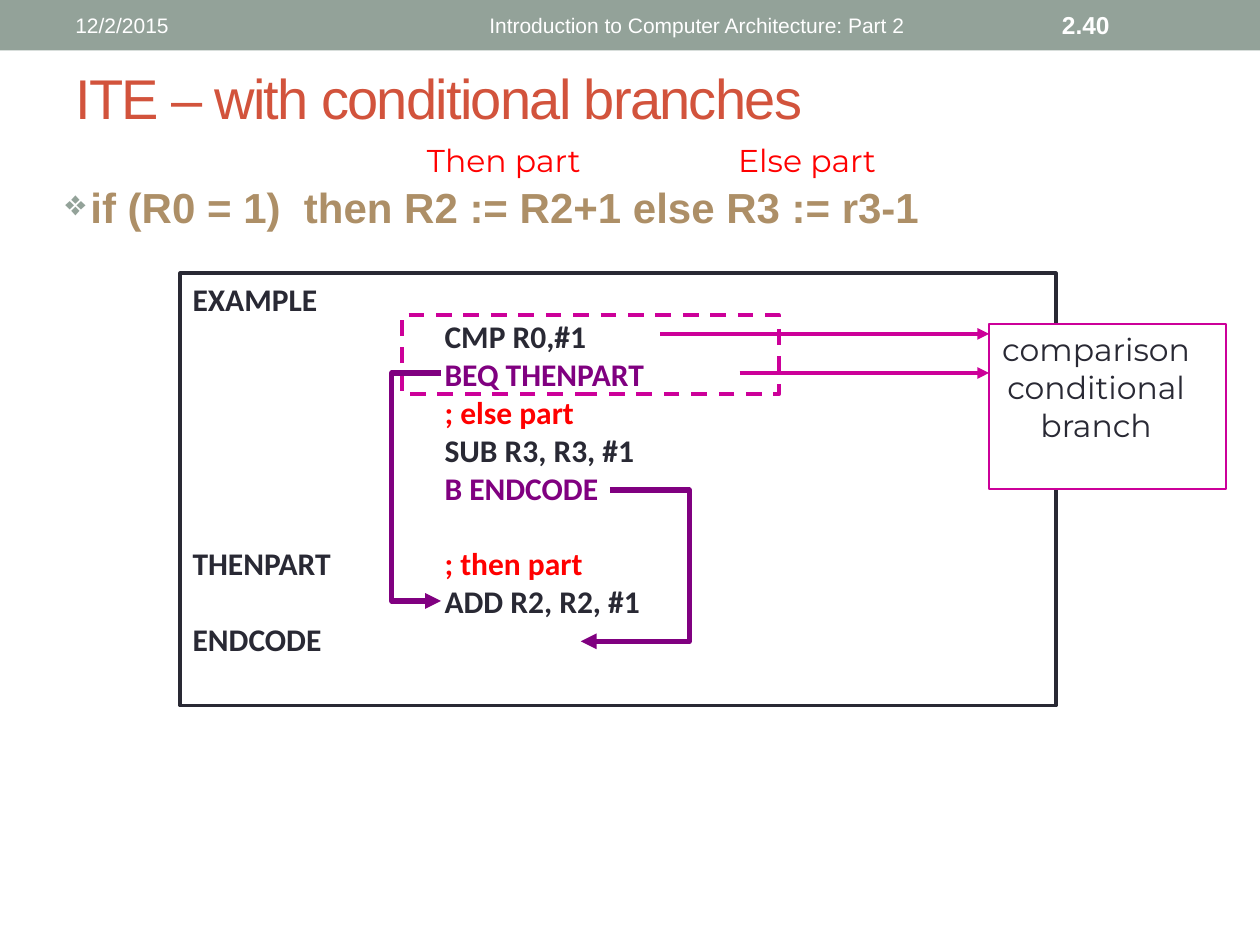
"""Builds the slide on if-then-else with conditional branches."""
from lxml import etree
from pptx import Presentation
from pptx.dml.color import RGBColor
from pptx.enum.dml import MSO_LINE
from pptx.enum.shapes import MSO_CONNECTOR, MSO_SHAPE
from pptx.enum.text import MSO_ANCHOR as ANCHOR, PP_ALIGN as ALIGN
from pptx.oxml.ns import qn
from pptx.util import Inches, Pt

WHITE = RGBColor(0xFF, 0xFF, 0xFF)
SAGE = RGBColor(0x93, 0xA2, 0x99)
RUST = RGBColor(0xD2, 0x53, 0x3C)
TAN = RGBColor(0xAD, 0x8F, 0x67)
INK = RGBColor(0x29, 0x29, 0x34)
PURPLE = RGBColor(0x80, 0x00, 0x80)
MAGENTA = RGBColor(0xCC, 0x00, 0x99)
RED = RGBColor(0xFF, 0x00, 0x00)

HEADER = [
    ("12/2/2015", 0.5, 2.06, 12, False, ALIGN.LEFT),
    ("2.40", 8.33, 1.17, 14, True, ALIGN.LEFT),
    ("Introduction to Computer Architecture: Part 2", 2.78, 4.5, 12, False, ALIGN.RIGHT),
]
TITLE = "ITE – with conditional branches"
STATEMENT = "if (R0 = 1)  then R2 := R2+1 else R3 := r3-1"
PART_LABELS = [("Then part", 3.29, 1.55), ("Else part", 5.76, 1.45)]
CODE = [
    ("EXAMPLE", "", INK),
    ("", "CMP R0,#1", INK),
    ("", "BEQ THENPART", PURPLE),
    ("", "; else part", RED),
    ("", "SUB R3, R3, #1", INK),
    ("", "B ENDCODE", PURPLE),
    ("THENPART", "; then part", RED),
    ("", "ADD R2, R2, #1", INK),
    ("ENDCODE", "", INK),
]
NOTES = ["comparison", "conditional", "branch"]
NOTE_ARROWS = [(5.24, 2.65), (5.87, 2.96)]
NOTE_LEFT = 7.85
JUMPS = [
    [(3.5, 2.96), (3.11, 2.96), (3.11, 4.77), (3.5, 4.77)],
    [(4.84, 3.89), (5.47, 3.89), (5.47, 5.09), (4.61, 5.09)],
]

prs = Presentation()
prs.slide_width, prs.slide_height = Inches(10), Inches(7.5)
s = prs.slides.add_slide(prs.slide_layouts[6])


def add_run(p, text, size, color, font="Arial", bold=False):
    r = p.add_run()
    r.text = text
    r.font.size, r.font.name, r.font.bold = Pt(size), font, bold
    r.font.color.rgb = color
    return r


def add_text(x, y, w, h, anchor=ANCHOR.TOP):
    tf = s.shapes.add_textbox(*map(Inches, (x, y, w, h))).text_frame
    tf.word_wrap = True
    tf.vertical_anchor = anchor
    return tf


def style(sp, fill=None, line=None, width=1):
    sp.shadow.inherit = False
    if fill is None:
        sp.fill.background()
    else:
        sp.fill.solid()
        sp.fill.fore_color.rgb = fill
    if line is None:
        sp.line.fill.background()
    else:
        sp.line.color.rgb = line
        sp.line.width = Pt(width)
    return sp


def add_rect(x, y, w, h, **look):
    sp = s.shapes.add_shape(MSO_SHAPE.RECTANGLE, *map(Inches, (x, y, w, h)))
    sp.text_frame.word_wrap = True
    sp.text_frame.vertical_anchor = ANCHOR.TOP
    return style(sp, **look)


def add_arrowhead(sp):
    etree.SubElement(sp.line._get_or_add_ln(), qn("a:tailEnd"), type="triangle")


def paragraphs(tf, items):
    for i, item in enumerate(items):
        yield (tf.add_paragraph() if i else tf.paragraphs[0]), item


add_rect(0, 0, 10, 0.4, fill=SAGE)

p = add_text(0.5, 0.36, 9, 0.83, ANCHOR.MIDDLE).paragraphs[0]
add_run(p, TITLE, 32, RUST).font._element.set("spc", "-100")

p = add_text(0.12, 1.39, 8.83, 0.52).paragraphs[0]
p.space_before = Pt(4.8)
pPr = p._p.get_or_add_pPr()
pPr.set("marL", str(Inches(0.5)))
pPr.set("indent", str(Inches(-0.2)))
bullet_color = etree.SubElement(pPr, qn("a:buClr"))
etree.SubElement(bullet_color, qn("a:srgbClr"), val=str(SAGE))
etree.SubElement(pPr, qn("a:buSzPct"), val="85000")
etree.SubElement(pPr, qn("a:buChar"), char="❖")
add_run(p, STATEMENT, 24, TAN, bold=True)

code_box = add_rect(1.43, 2.17, 6.95, 3.43, line=INK, width=2.25)
for p, (label, code, color) in paragraphs(code_box.text_frame, CODE):
    p.alignment = ALIGN.LEFT
    if label == "THENPART":
        p.space_before = Pt(21.6)
    tabs = etree.SubElement(p._p.get_or_add_pPr(), qn("a:tabLst"))
    etree.SubElement(tabs, qn("a:tab"), pos=str(Inches(2)), algn="l")
    if label:
        add_run(p, label, 18, INK, "Calibri", True)
    if code:
        add_run(p, "\t" + code, 18, color, "Calibri", True)

test_frame = add_rect(3.19, 2.5, 2.99, 0.63, line=MAGENTA, width=2.25)
test_frame.line.dash_style = MSO_LINE.DASH

for x, y in NOTE_ARROWS:
    c = s.shapes.add_connector(MSO_CONNECTOR.STRAIGHT, *map(Inches, (x, y, NOTE_LEFT, y)))
    c.line.color.rgb = MAGENTA
    c.line.width = Pt(2.25)
    add_arrowhead(c)
    etree.SubElement(c._element.spPr, qn("a:effectLst"))

note_box = add_rect(NOTE_LEFT, 2.57, 1.88, 1.31, fill=WHITE, line=MAGENTA)
note_box.text_frame.margin_right = Inches(0.28)
for p, note in paragraphs(note_box.text_frame, NOTES):
    p.alignment = ALIGN.CENTER
    add_run(p, note, 18, INK, "Montserrat")

for start, *rest in JUMPS:
    fb = s.shapes.build_freeform(*map(Inches, start))
    fb.add_line_segments([tuple(map(Inches, pt)) for pt in rest], close=False)
    add_arrowhead(style(fb.convert_to_shape(), line=PURPLE, width=3))

for text, x, w, size, bold, align in HEADER:
    p = add_text(x, 0.02, w, 0.36, ANCHOR.MIDDLE).paragraphs[0]
    p.alignment = align
    add_run(p, text, size, WHITE, bold=bold)

for text, x, w in PART_LABELS:
    add_run(add_text(x, 1.07, w, 0.4).paragraphs[0], text, 18, RED, "Montserrat")

prs.save("out.pptx")
